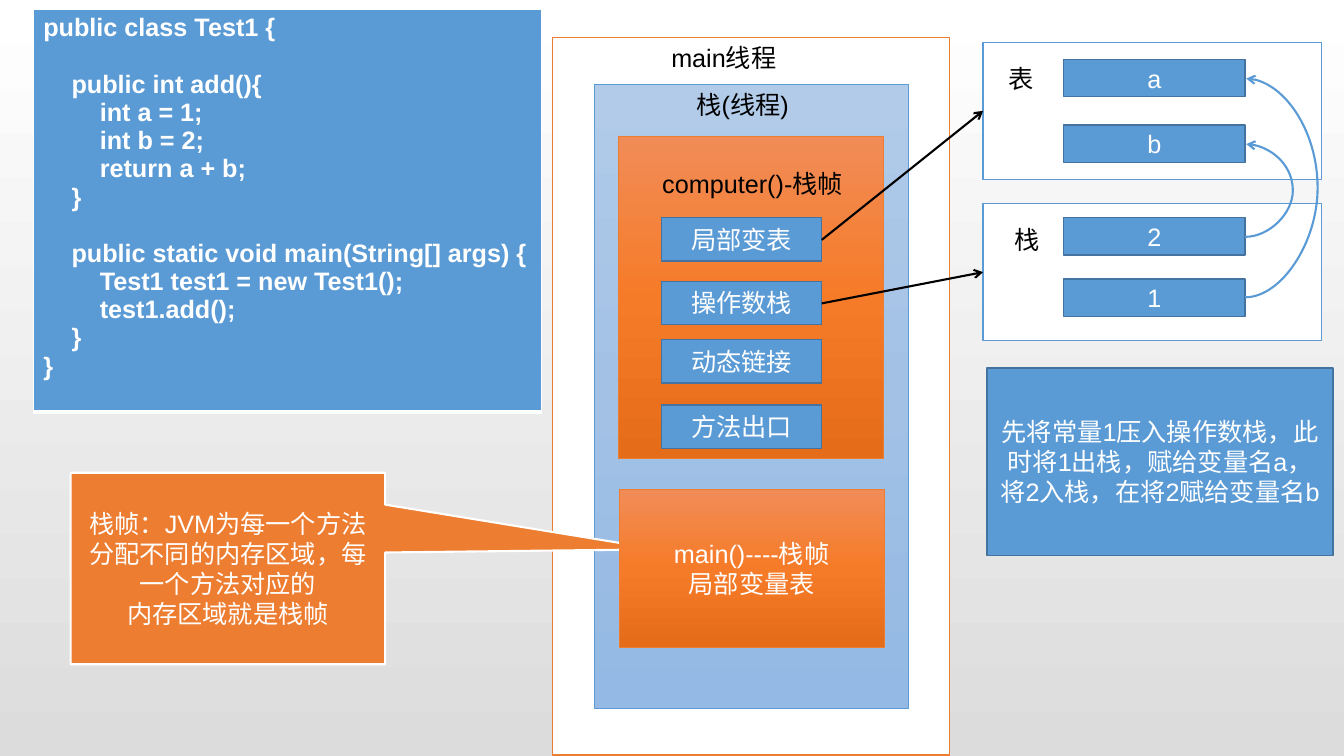
from copy import deepcopy
from dataclasses import dataclass

from lxml import etree
from pptx import Presentation
from pptx.dml.color import RGBColor
from pptx.enum.shapes import MSO_CONNECTOR, MSO_SHAPE
from pptx.enum.text import MSO_ANCHOR, PP_ALIGN
from pptx.oxml.ns import qn
from pptx.util import Emu, Pt

RECT = MSO_SHAPE.RECTANGLE
CALLOUT = MSO_SHAPE.RECTANGULAR_CALLOUT
STRAIGHT = MSO_CONNECTOR.STRAIGHT
CURVE = MSO_CONNECTOR.CURVE
CENTER, LEFT = PP_ALIGN.CENTER, PP_ALIGN.LEFT
MIDDLE = MSO_ANCHOR.MIDDLE
EMU_PER_PX = 9144


@dataclass(frozen=True)
class Theme:
    font: str = "Arial"
    size: int = 18
    code_gap: int = 20
    white: str = "FFFFFF"
    black: str = "000000"
    blue: str = "5B9BD5"
    navy: str = "43739E"
    orange: str = "ED7D31"
    page: tuple = ("FFFFFF", "DCDCDC")
    sky: tuple = ("B1CBE9", "A3C1E5", "93B9E4")
    ember: tuple = ("F18C57", "F67B28", "E56C19")


def px(n):
    return Emu(n * EMU_PER_PX)


def rgb(color):
    return RGBColor.from_string(color)


class SlideBuilder:
    def __init__(self, prs, theme):
        self.theme = theme
        self.s = prs.slides.add_slide(prs.slide_layouts[6])
        self.paint(self.s.background.fill, theme.page, self.s._element)

    def paint(self, fill, color, element):
        if isinstance(color, str):
            fill.solid()
            fill.fore_color.rgb = rgb(color)
            return
        fill.gradient()
        fill.gradient_angle = 270
        stops = next(element.iter(qn("a:gsLst")))
        for _ in color[2:]:
            stops.append(deepcopy(stops[0]))
        for i, (stop, shade) in enumerate(zip(fill.gradient_stops, color)):
            stop.position = i / (len(color) - 1)
            stop.color.rgb = rgb(shade)

    def set_text(self, tf, text, color, align=LEFT, bold=False):
        tf.word_wrap = True
        tf.text = text
        for p in tf.paragraphs:
            p.alignment = align
            for r in p.runs:
                r.font.name = self.theme.font
                r.font.size = Pt(self.theme.size)
                r.font.bold = bold
                r.font.color.rgb = rgb(color)

    def box(self, x, y, w, h, fill, line, weight=1, text="", kind=RECT):
        sp = self.s.shapes.add_shape(kind, px(x), px(y), px(w), px(h))
        sp.shadow.inherit = False
        self.paint(sp.fill, fill, sp._element)
        sp.line.color.rgb = rgb(line)
        sp.line.width = Pt(weight)
        if text:
            sp.text_frame.vertical_anchor = MIDDLE
            self.set_text(sp.text_frame, text, self.theme.white, CENTER)
        return sp

    def callout(self, x, y, w, h, text, tip):
        sp = self.box(x, y, w, h, self.theme.orange, self.theme.white, 1.5, text, CALLOUT)
        for i, value in enumerate(tip):
            sp.adjustments[i] = value

    def label(self, x, y, w, text):
        sp = self.s.shapes.add_textbox(px(x), px(y), px(w), px(40))
        self.set_text(sp.text_frame, text, self.theme.black)

    def arrow(self, x1, y1, x2, y2, color, bulge=0):
        kind = CURVE if bulge else STRAIGHT
        c = self.s.shapes.add_connector(kind, px(x1), px(y1), px(x2), px(y2))
        c.line.color.rgb = rgb(color)
        c.line.width = Pt(1.5)
        spPr = c._element.spPr
        etree.SubElement(spPr.find(qn("a:ln")), qn("a:tailEnd"), type="arrow")
        etree.SubElement(spPr, qn("a:effectLst"))
        if bulge:
            guides = next(spPr.iter(qn("a:avLst")))
            ratio = bulge * 100000 // (x2 - x1)
            etree.SubElement(guides, qn("a:gd"), name="adj1", fmla=f"val {ratio}")

    def code(self, x, y, w, h, lines):
        table = self.s.shapes.add_table(1, 1, px(x), px(y), px(w), px(h)).table
        table.first_row = table.horz_banding = False
        cell = table.cell(0, 0)
        self.paint(cell.fill, self.theme.blue, cell._tc)
        text = "\n".join(line for _, _, line in lines)
        self.set_text(cell.text_frame, text, self.theme.white, bold=True)
        for p, (level, gap, _) in zip(cell.text_frame.paragraphs, lines):
            p._p.get_or_add_pPr().set("marL", str(px(28 * level)))
            p.space_before = Pt(gap * self.theme.code_gap)
        tcPr = cell._tc.get_or_add_tcPr()
        for i, (side, weight) in enumerate(zip("LRTB", (1, 1, 1, 3))):
            ln = etree.Element(qn(f"a:ln{side}"), w=str(Pt(weight)))
            solid = etree.SubElement(ln, qn("a:solidFill"))
            etree.SubElement(solid, qn("a:srgbClr"), val=self.theme.white)
            tcPr.insert(i, ln)


CODE = [
    (0, 0, "public class Test1 {"),
    (1, 1, "public int add(){"),
    (2, 0, "int a = 1;"),
    (2, 0, "int b = 2;"),
    (2, 0, "return a + b;"),
    (1, 0, "}"),
    (1, 1, "public static void main(String[] args) {"),
    (2, 0, "Test1 test1 = new Test1();"),
    (2, 0, "test1.add();"),
    (1, 0, "}"),
    (0, 0, "}"),
]
FRAME_PARTS = [(216, "局部变表"), (279, "操作数栈"), (337, "动态链接"), (402, "方法出口")]
SLOTS = [(59, "a"), (124, "b"), (216, "2"), (277, "1")]
PANELS = [(42, 990, 38, "表"), (202, 996, 42, "栈")]


def main():
    prs = Presentation()
    prs.slide_width, prs.slide_height = px(1333), px(750)
    t = Theme()
    b = SlideBuilder(prs, t)

    b.box(548, 37, 394, 712, t.white, t.orange)
    b.box(589, 84, 312, 619, t.sky, t.blue, 0.5)
    b.label(656, 37, 256, "main线程")
    b.label(681, 84, 176, "栈(线程)")
    b.callout(70, 469, 312, 190,
              "栈帧：JVM为每一个方法分配不同的内存区域，每一个方法对应的\n内存区域就是栈帧",
              (1.37, -0.1))
    b.code(33, 9, 504, 400, CODE)

    b.box(614, 486, 263, 156, t.ember, t.orange, 0.5, "main()----栈帧\n局部变量表")
    b.box(613, 135, 263, 320, t.ember, t.orange, 0.5)
    for y, text in FRAME_PARTS:
        b.box(656, y, 159, 43, t.blue, t.navy, text=text)
    b.label(647, 162, 207, "computer()-栈帧")

    for y, x, w, text in PANELS:
        b.box(975, y, 336, 136, t.white, t.blue)
        b.label(x, y + 16, w, text)
    for y, text in SLOTS:
        b.box(1055, y, 180, 37, t.blue, t.navy, text=text)

    b.arrow(815, 301, 975, 270, t.black)
    b.arrow(815, 238, 975, 110, t.black)
    b.box(979, 365, 343, 186, t.blue, t.navy,
          text="先将常量1压入操作数栈，此时将1出栈，赋给变量名a，将2入栈，在将2赋给变量名b")
    b.arrow(1235, 295, 1236, 78, t.blue, bulge=73)
    b.arrow(1235, 235, 1236, 143, t.blue, bulge=48)

    prs.save("out.pptx")


if __name__ == "__main__":
    main()
